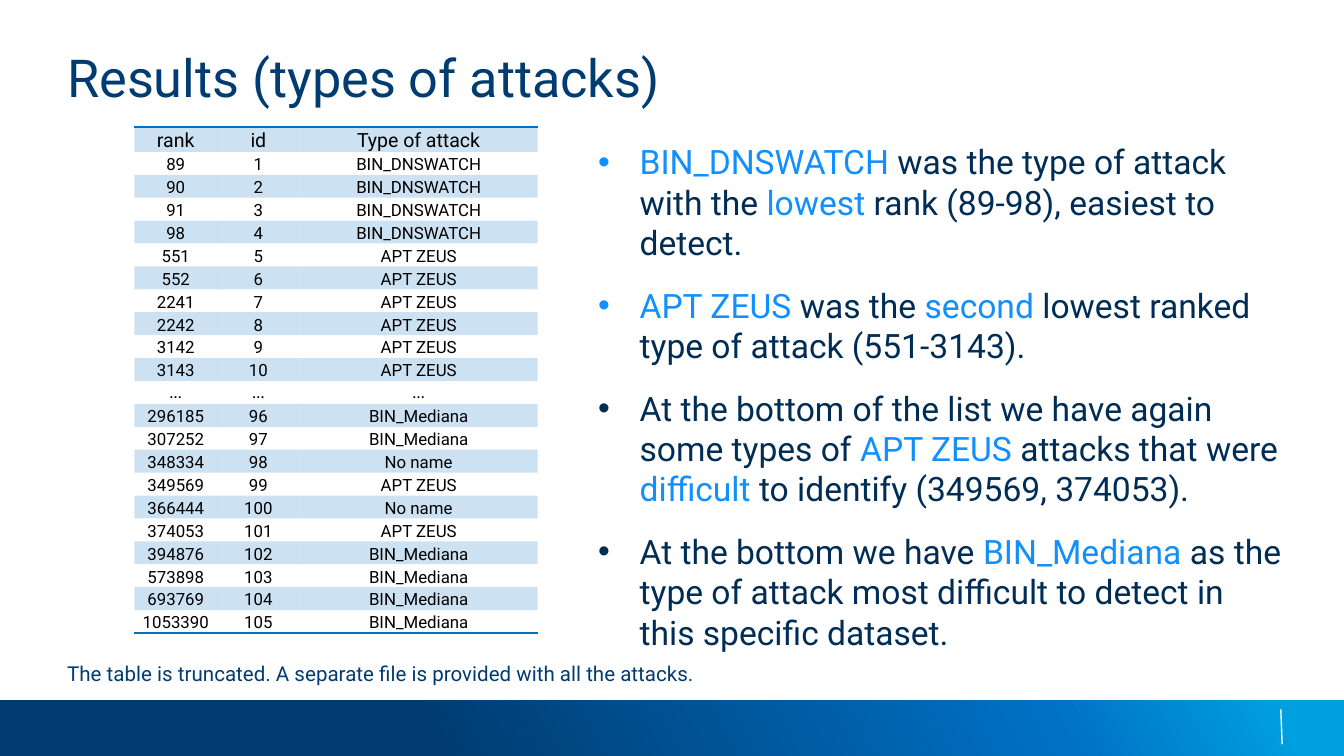
from lxml.etree import SubElement
from pptx import Presentation
from pptx.dml.color import RGBColor
from pptx.enum.shapes import MSO_CONNECTOR, MSO_SHAPE
from pptx.enum.text import MSO_ANCHOR, PP_ALIGN
from pptx.oxml import parse_xml
from pptx.oxml.ns import nsdecls, qn
from pptx.util import Inches, Pt

NAVY = RGBColor(0x00, 0x3C, 0x71)
INK = RGBColor(0x00, 0x2D, 0x55)
BLUE = RGBColor(0x00, 0x71, 0xC5)
SKY = RGBColor(0x00, 0x9F, 0xDF)
BRIGHT = RGBColor(0x11, 0x8F, 0xFF)
BLACK = RGBColor(0, 0, 0)
WHITE = RGBColor(255, 255, 255)

WIDE = Inches(10)
HIGH = WIDE * 9 // 16
STYLE = "{2D5ABB26-0587-4C30-8999-92F81FD0307C}"
HEAD = ("rank", "id", "Type of attack")
DNS, ZEUS, MED, NONE = "BIN_DNSWATCH", "APT ZEUS", "BIN_Mediana", "No name"
GAP = ("…", "…", "…")
LOW = [(89, DNS), (90, DNS), (91, DNS), (98, DNS), (551, ZEUS), (552, ZEUS),
       (2241, ZEUS), (2242, ZEUS), (3142, ZEUS), (3143, ZEUS)]
LAST = [(296185, MED), (307252, MED), (348334, NONE), (349569, ZEUS),
        (366444, NONE), (374053, ZEUS), (394876, MED), (573898, MED),
        (693769, MED), (1053390, MED)]
POINTS = [
    [(DNS, BRIGHT), (" was the type of attack with the ", INK),
     ("lowest", BRIGHT), (" rank (89-98), easiest to detect.", INK)],
    [("APT ZEUS ", BRIGHT), ("was the ", INK), ("second", BRIGHT),
     (" lowest ranked type of attack (551-3143).", INK)],
    [("At the bottom of the list we have again some types of ", INK),
     (ZEUS, BRIGHT), (" attacks that were ", INK), ("difficult", BRIGHT),
     (" to identify (349569, 374053).", INK)],
    [("At the bottom we have ", INK), (MED, BRIGHT),
     (" as the type of attack most difficult to detect in this specific dataset.", INK)],
]


def area(x, y, w, h):
    return int(x * WIDE), int(y * HIGH), int(w * WIDE), int(h * HIGH)


def write(para, text, size=18, color=INK, font="Roboto", align=PP_ALIGN.LEFT):
    para.alignment = align
    run = para.add_run()
    run.text = text
    run.font.size = Pt(size)
    run.font.name = font
    run.font.color.rgb = color


def frame(shape):
    body = shape.text_frame
    body.margin_left = body.margin_right = body.margin_top = body.margin_bottom = 0
    body.word_wrap = True
    body.vertical_anchor = MSO_ANCHOR.TOP
    return body


def band(slide, box):
    x, y, w, h = box
    bar = slide.shapes.add_shape(MSO_SHAPE.RECTANGLE, *box)
    bar.shadow.inherit = False
    bar.line.fill.background()
    bar.fill.gradient()
    grad = bar.fill._xPr.find(qn("a:gradFill"))
    stops = "".join(f'<a:gs pos="{pos}000"><a:srgbClr val="{color}"/></a:gs>'
                    for pos, color in ((32, NAVY), (78, BLUE), (95, SKY)))
    new = parse_xml(f'<a:gradFill {nsdecls("a")} rotWithShape="1"><a:gsLst>{stops}</a:gsLst>'
                    f'<a:lin ang="{331 * 60000}" scaled="0"/></a:gradFill>')
    grad.getparent().replace(grad, new)
    mark = slide.shapes.add_connector(
        MSO_CONNECTOR.STRAIGHT, x + int(w * 0.953), y + int(h * 0.17),
        x + int(w * 0.954), y + int(h * 0.79))
    mark.line.color.rgb = WHITE
    mark.line.width = Pt(0.75)
    SubElement(mark._element.spPr, qn("a:effectLst"))


def title(slide, box):
    shape = slide.shapes.title
    shape.left, shape.top, shape.width, shape.height = box
    write(frame(shape).paragraphs[0], "Results (types of attacks)", size=28, color=NAVY)


def points(slide, box):
    body = frame(slide.shapes.add_textbox(*box))
    for i, parts in enumerate(POINTS):
        para = body.add_paragraph() if i else body.paragraphs[0]
        para.space_before = Pt(12)
        props = para._p.get_or_add_pPr()
        props.set("marL", str(Inches(0.31)))
        props.set("indent", str(-Inches(0.31)))
        SubElement(props, qn("a:buFont")).set("typeface", "Arial")
        SubElement(props, qn("a:buChar")).set("char", "•")
        for text, color in parts:
            write(para, text, color=color)


def note(slide, box):
    body = frame(slide.shapes.add_textbox(*box))
    write(body.paragraphs[0],
          "The table is truncated. A separate file is provided with all the attacks.",
          size=11, color=NAVY)


def edge(cell, side):
    line = parse_xml(f'<a:{side} {nsdecls("a")} w="{Pt(1)}" cap="flat" cmpd="sng"><a:solidFill>'
                     f'<a:srgbClr val="{BLUE}"/></a:solidFill>'
                     f'<a:prstDash val="solid"/></a:{side}>')
    cell._tc.get_or_add_tcPr().insert(0, line)


def shade(cell, on):
    if not on:
        cell.fill.background()
        return
    cell.fill.solid()
    cell.fill.fore_color.rgb = BLUE
    tint = cell._tc.tcPr.find(".//" + qn("a:srgbClr"))
    SubElement(tint, qn("a:alpha")).set("val", "20000")


def ranks(slide, box):
    rows = [HEAD]
    rows += [(rank, i, kind) for i, (rank, kind) in enumerate(LOW, 1)]
    rows.append(GAP)
    rows += [(rank, i, kind) for i, (rank, kind) in enumerate(LAST, 96)]
    table = slide.shapes.add_table(len(rows), len(HEAD), *box).table
    table.first_row = table.horz_banding = False
    table._tbl.tblPr.find(qn("a:tableStyleId")).text = STYLE
    for col, share in zip(table.columns, (0.205, 0.205, 0.59)):
        col.width = int(box[2] * share)
    for r, row in enumerate(rows):
        table.rows[r].height = box[3] // len(rows)
        for c, value in enumerate(row):
            cell = table.cell(r, c)
            cell.margin_left = cell.margin_right = cell.margin_top = Inches(0.01)
            cell.margin_bottom = 0
            cell.vertical_anchor = MSO_ANCHOR.MIDDLE if row is GAP else MSO_ANCHOR.BOTTOM
            write(cell.text_frame.paragraphs[0], str(value), color=BLACK,
                  size=9 if r else 10.5, align=PP_ALIGN.CENTER,
                  font="Calibri" if row is GAP else "Roboto")
            shade(cell, r % 2 == 0)
            if r == 0:
                edge(cell, "lnT")
            if r == len(rows) - 1:
                edge(cell, "lnB")


def main():
    deck = Presentation()
    deck.slide_width, deck.slide_height = WIDE, HIGH
    slide = deck.slides.add_slide(deck.slide_layouts[5])
    band(slide, area(0, 0.926, 1, 0.074))
    title(slide, area(0.05, 0.06, 0.9, 0.126))
    points(slide, area(0.445, 0.187, 0.513, 0.689))
    note(slide, area(0.05, 0.875, 0.547, 0.034))
    ranks(slide, area(0.1, 0.168, 0.3, 0.667))
    deck.save("out.pptx")


if __name__ == "__main__":
    main()
